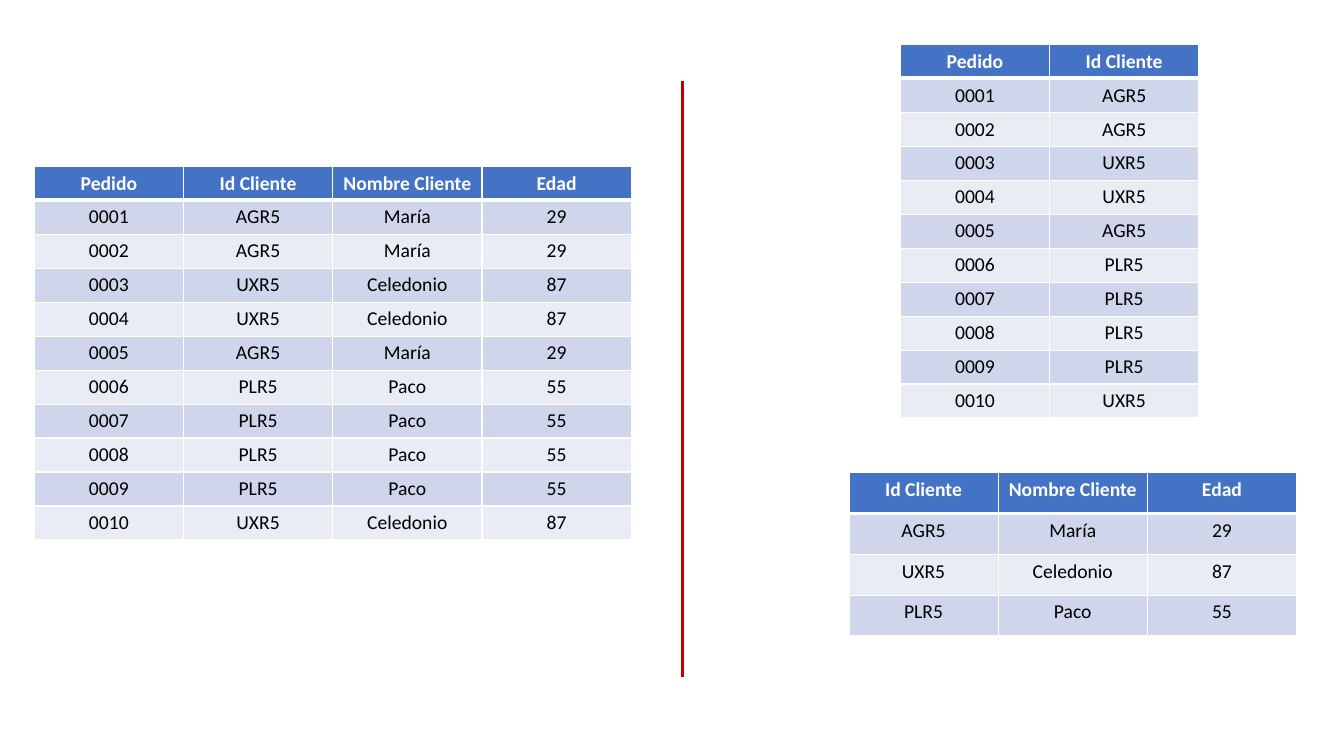
import lxml.etree
import pptx
import pptx.dml.color
import pptx.enum.shapes
import pptx.enum.text
import pptx.oxml.ns
import pptx.util

PX = 9144
WHITE = pptx.dml.color.RGBColor(0xFF, 0xFF, 0xFF)
BLACK = pptx.dml.color.RGBColor(0x00, 0x00, 0x00)
HEADER_BLUE = pptx.dml.color.RGBColor(0x44, 0x72, 0xC4)
BAND_DARK = pptx.dml.color.RGBColor(0xCF, 0xD5, 0xEA)
BAND_LIGHT = pptx.dml.color.RGBColor(0xE9, 0xEB, 0xF5)
DIVIDER_RED = pptx.dml.color.RGBColor(0xC0, 0x00, 0x00)

CUSTOMERS = {"AGR5": ("María", "29"), "UXR5": ("Celedonio", "87"), "PLR5": ("Paco", "55")}
ORDERED_BY = "AGR5 AGR5 UXR5 UXR5 AGR5 PLR5 PLR5 PLR5 PLR5 UXR5".split()
ORDERS = [(f"{number:04d}", customer) for number, customer in enumerate(ORDERED_BY, 1)]


def write_text(frame, text, size=14, font="Calibri", color=BLACK, bold=False,
               align=pptx.enum.text.PP_ALIGN.CENTER):
    para = frame.paragraphs[0]
    para.alignment = align
    span = para.add_run()
    span.text = text
    span.font.size = pptx.util.Pt(size)
    span.font.name = font
    span.font.bold = bold
    span.font.color.rgb = color


class SlideBuilder:
    """Draw styled tables and lines on one slide, measured in px of 1/100 inch."""

    def __init__(self, page, column_width=148):
        self.page = page
        self.column_width = column_width

    def border(self, cell, side, points):
        properties = cell._tc.get_or_add_tcPr()
        line = lxml.etree.SubElement(properties, pptx.oxml.ns.qn(f"a:ln{side}"),
                                     w=str(pptx.util.Pt(points)))
        fill = lxml.etree.SubElement(line, pptx.oxml.ns.qn("a:solidFill"))
        lxml.etree.SubElement(fill, pptx.oxml.ns.qn("a:srgbClr"), val=str(WHITE))

    def cell(self, cell, text, row):
        header = row == 0
        widths = {"L": 1, "R": 1, "T": 3 if row == 1 else 1, "B": 3 if header else 1}
        for side, points in widths.items():
            self.border(cell, side, points)
        cell.fill.solid()
        band = BAND_DARK if row % 2 else BAND_LIGHT
        cell.fill.fore_color.rgb = HEADER_BLUE if header else band
        write_text(cell.text_frame, text, color=WHITE if header else BLACK, bold=header)

    def table(self, left, top, height, rows):
        columns = len(rows[0])
        frame = self.page.shapes.add_table(len(rows), columns, left * PX, top * PX,
                                           columns * self.column_width * PX, height * PX)
        for row, values in enumerate(rows):
            for column, text in enumerate(values):
                self.cell(frame.table.cell(row, column), text, row)

    def line(self, start, end, color, points):
        connector = self.page.shapes.add_connector(
            pptx.enum.shapes.MSO_CONNECTOR.STRAIGHT,
            *(value * PX for value in (*start, *end)))
        connector.line.color.rgb = color
        connector.line.width = pptx.util.Pt(points)
        lxml.etree.SubElement(connector._element.spPr, pptx.oxml.ns.qn("a:effectLst"))


def main():
    deck = pptx.Presentation()
    deck.slide_width = 1333 * PX
    deck.slide_height = 750 * PX
    builder = SlideBuilder(deck.slides.add_slide(deck.slide_layouts[6]))

    order_header = ("Pedido", "Id Cliente")
    detail_header = ("Nombre Cliente", "Edad")
    joined = [(*order, *CUSTOMERS[order[1]]) for order in ORDERS]
    customers = [(customer, *details) for customer, details in CUSTOMERS.items()]

    builder.table(34, 165, 367, [order_header + detail_header, *joined])
    builder.table(842, 469, 162, [order_header[1:] + detail_header, *customers])
    builder.table(893, 44, 367, [order_header, *ORDERS])
    builder.line((677, 80), (677, 672), DIVIDER_RED, 2.5)
    deck.save("out.pptx")


if __name__ == "__main__":
    main()
